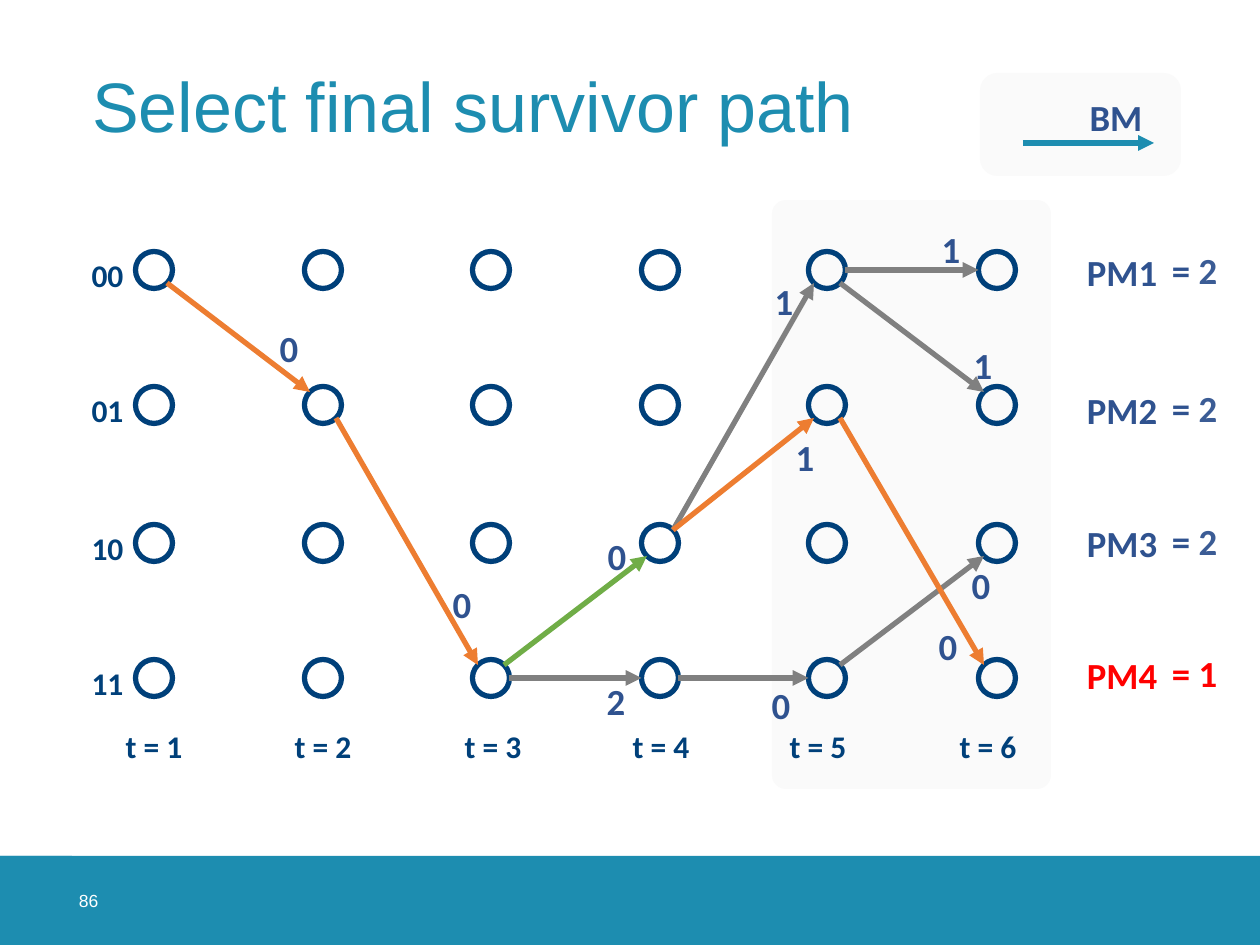
from itertools import product

from lxml.etree import SubElement
from pptx import Presentation
from pptx.dml.color import RGBColor
from pptx.enum.shapes import MSO_CONNECTOR, MSO_SHAPE
from pptx.enum.text import MSO_ANCHOR, PP_ALIGN
from pptx.oxml.ns import qn
from pptx.util import Pt

EMU_PER_PX = 914400 / 126
COLORS = {
    "teal": "1D8DB0", "navy": "00407A", "blue": "2F528F", "soft_blue": "3B5C95",
    "red": "FF0000", "gray": "808080", "orange": "ED7D31", "green": "70AD47",
    "panel": "FAFAFA", "white": "FFFFFF",
}
COLUMNS = [154, 323, 491, 660, 827, 997]
ROWS = [270, 405, 543, 678]
STATES = ["00", "01", "10", "11"]
TIME_LABELS = [154, 323, 493, 661, 818, 988]
NODE_SIZE = 37
BRANCHES = [
    ((3, 2), (4, 0), "gray"), ((2, 3), (3, 3), "gray"), ((3, 3), (4, 3), "gray"),
    ((4, 0), (5, 0), "gray"), ((4, 0), (5, 1), "gray"), ((4, 3), (5, 2), "gray"),
    ((0, 0), (1, 1), "orange"), ((1, 1), (2, 3), "orange"), ((2, 3), (3, 2), "green"),
    ((4, 1), (5, 3), "orange"), ((3, 2), (4, 1), "orange"),
]
BRANCH_METRICS = [
    ("0", 289, 348), ("0", 462, 604), ("2", 616, 701), ("0", 617, 556),
    ("1", 784, 301), ("0", 781, 705), ("1", 951, 249), ("1", 983, 365),
    ("0", 981, 585), ("0", 948, 646), ("1", 805, 457),
]
PATH_METRICS = [
    ("PM1", "2", 270, "blue", "soft_blue"), ("PM2", "2", 408, "blue", "soft_blue"),
    ("PM3", "2", 541, "blue", "soft_blue"), ("PM4", "1", 673, "red", "red"),
]


def px(value):
    return round(value * EMU_PER_PX)


def color(name):
    return RGBColor.from_string(COLORS[name])


def write(shape, text, size=21, font="Calibri", ink="blue", bold=True,
          align=PP_ALIGN.CENTER, margins=(0, 0), spacing=None):
    frame = shape.text_frame
    frame.word_wrap = True
    frame.vertical_anchor = MSO_ANCHOR.MIDDLE
    frame.margin_left = frame.margin_right = px(margins[0])
    frame.margin_top = frame.margin_bottom = px(margins[1])
    para = frame.paragraphs[0]
    para.alignment = align
    para.line_spacing = spacing
    span = para.add_run()
    span.text = text
    span.font.name = font
    span.font.size = Pt(size)
    span.font.bold = bold
    span.font.color.rgb = color(ink)


def add_block(shapes, kind, left, top, width, height, fill=None, line=None, corner=None):
    block = shapes.add_shape(kind, px(left), px(top), px(width), px(height))
    block.shadow.inherit = False
    if corner is not None:
        block.adjustments[0] = corner
    if fill:
        block.fill.solid()
        block.fill.fore_color.rgb = color(fill)
    else:
        block.fill.background()
    if line:
        block.line.color.rgb = color(line)
        block.line.width = Pt(3)
    else:
        block.line.fill.background()
    return block


def add_label(shapes, text, center_x, center_y, width=42, height=42, **style):
    box = add_block(shapes, MSO_SHAPE.ROUNDED_RECTANGLE, center_x - width / 2,
                    center_y - height / 2, width, height, corner=0.07)
    write(box, text, **style)


def add_arrow(shapes, start, end, ink):
    arrow = shapes.add_connector(MSO_CONNECTOR.STRAIGHT, *map(px, start + end))
    arrow.line.color.rgb = color(ink)
    arrow.line.width = Pt(3)
    SubElement(arrow.line._get_or_add_ln(), qn("a:tailEnd"), type="triangle")
    SubElement(arrow._element.spPr, qn("a:effectLst"))


def add_branch(shapes, source, target, ink):
    x1, y1 = COLUMNS[source[0]], ROWS[source[1]]
    x2, y2 = COLUMNS[target[0]], ROWS[target[1]]
    reach, rise = NODE_SIZE / 2, 0
    if y1 != y2:
        reach = 13
        rise = reach if y2 > y1 else -reach
    add_arrow(shapes, (x1 + reach, y1 + rise), (x2 - reach, y2 - rise), ink)


def add_trellis(shapes):
    add_block(shapes, MSO_SHAPE.ROUNDED_RECTANGLE, 772, 200, 279, 589,
              fill="panel", corner=0.05)
    for x, y in product(COLUMNS, ROWS):
        add_block(shapes, MSO_SHAPE.OVAL, x - NODE_SIZE / 2, y - NODE_SIZE / 2,
                  NODE_SIZE, NODE_SIZE, line="navy")
    for state, y in zip(STATES, ROWS):
        add_label(shapes, state, 90, y + 5, width=69, height=50, size=18,
                  ink="navy", align=PP_ALIGN.RIGHT)
    for step, x in enumerate(TIME_LABELS, 1):
        add_label(shapes, f"t = {step}", x, 746, width=69, height=50, size=18, ink="navy")
    for source, target, ink in BRANCHES:
        add_branch(shapes, source, target, ink)
    for metric, x, y in BRANCH_METRICS:
        add_label(shapes, metric, x, y)


def add_path_metrics(shapes):
    for name, value, y, ink, value_ink in PATH_METRICS:
        add_label(shapes, name, 1122, y + 2, width=130, ink=ink)
        add_label(shapes, "=", 1181, y, ink=ink)
        add_label(shapes, value, 1208, y, ink=value_ink)


def add_legend(shapes):
    legend = shapes.add_group_shape().shapes
    add_block(legend, MSO_SHAPE.ROUNDED_RECTANGLE, 980, 73, 201, 103,
              fill="panel", corner=0.17)
    add_arrow(legend, (1023, 143), (1154, 143), "teal")
    add_label(legend, "BM", 1116, 117, width=64)


def add_footer(shapes):
    for width in (1260, 72):
        add_block(shapes, MSO_SHAPE.RECTANGLE, 0, 856, width, 89, fill="teal")
    number = shapes.add_textbox(px(79), px(856), px(90), px(89))
    write(number, "86", size=10, font="Arial", ink="white", bold=False,
          align=PP_ALIGN.LEFT)


def set_title(title, text):
    title.left, title.top, title.width, title.height = map(px, (79, 30, 1101, 159))
    write(title, text, size=40, font="Arial", ink="teal", bold=False,
          align=PP_ALIGN.LEFT, margins=(13, 6), spacing=0.9)


def main():
    deck = Presentation()
    deck.slide_width, deck.slide_height = px(1260), px(945)
    page = deck.slides.add_slide(deck.slide_layouts[5])
    set_title(page.shapes.title, "Select final survivor path")
    add_footer(page.shapes)
    add_trellis(page.shapes)
    add_path_metrics(page.shapes)
    add_legend(page.shapes)
    deck.save("out.pptx")


if __name__ == "__main__":
    main()
